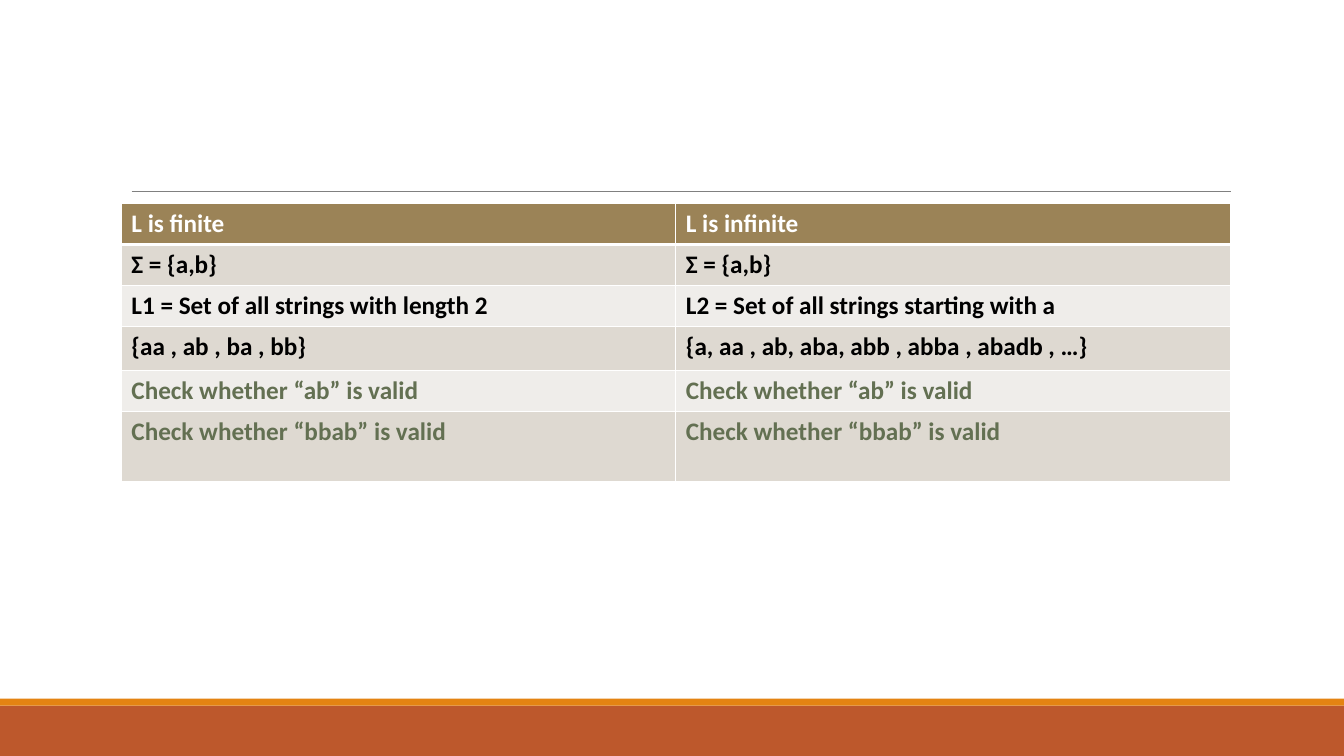
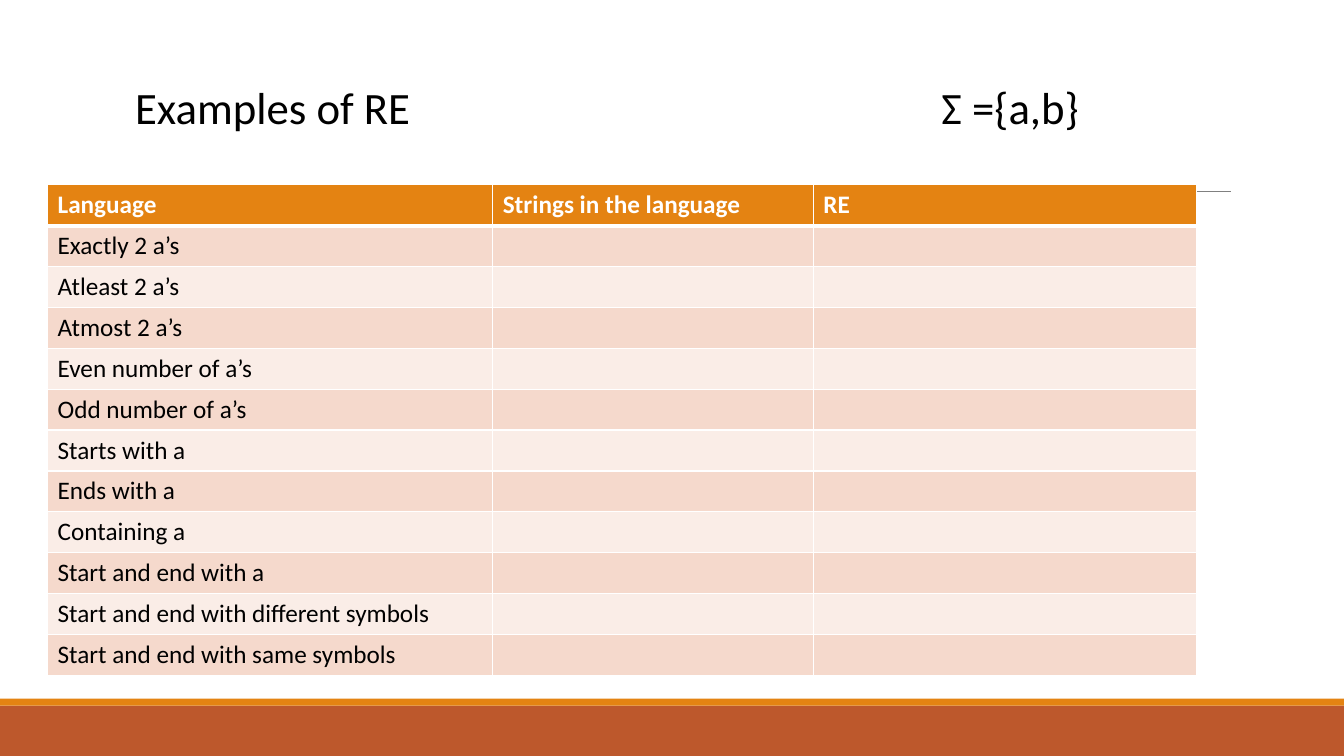
from lxml import etree
from pptx import Presentation
from pptx.dml.color import RGBColor
from pptx.enum import shapes, text
from pptx.oxml import parse_xml
from pptx.oxml.ns import nsdecls, qn
from pptx.util import Pt

COLORS = {
    "white": "FFFFFF", "black": "000000", "rule": "808080",
    "rust": "BD582C", "orange": "E48312", "green": "637052",
    "tan": "9B8357", "tan_dark": "DED9D1", "tan_light": "EFEDEA",
    "peach_dark": "F5D9CC", "peach_light": "FAEDE7",
}
FONT = "Calibri"
ROW_H = 29.2


def rgb(name):
    return RGBColor.from_string(COLORS[name])


def add_text(tf, content, size=18, color="black", bold=False, spacing=None, tab=None):
    p = tf.paragraphs[0]
    p.alignment = text.PP_ALIGN.LEFT
    if spacing:
        p.line_spacing = spacing
    if tab:
        tabs = etree.SubElement(p._p.get_or_add_pPr(), qn("a:tabLst"))
        etree.SubElement(tabs, qn("a:tab"), pos=str(Pt(tab)), algn="l")
    r = p.add_run()
    r.text = content
    r.font.name, r.font.size, r.font.bold = FONT, Pt(size), bold
    r.font.color.rgb = rgb(color)


prs = Presentation()
prs.slide_width, prs.slide_height = Pt(960), Pt(540)
finite = prs.slides.add_slide(prs.slide_layouts[6])
examples = prs.slides.add_slide(prs.slide_layouts[5])

# Shared bands and rule, drawn once and moved to the master
decor = []
for top, height, color in [(504, 36, "rust"), (499, 5, "orange")]:
    sp = finite.shapes.add_shape(shapes.MSO_SHAPE.RECTANGLE, 0, Pt(top), Pt(960), Pt(height))
    sp.shadow.inherit = False
    sp.fill.solid()
    sp.fill.fore_color.rgb = rgb(color)
    sp.line.fill.background()
    decor.append(sp)
rule = finite.shapes.add_connector(shapes.MSO_CONNECTOR.STRAIGHT, Pt(94), Pt(136.5), Pt(879), Pt(136.5))
rule.line.color.rgb = rgb("rule")
rule.line.width = Pt(0.5)
etree.SubElement(rule.element.spPr, qn("a:effectLst"))
decor.append(rule)
for number, sp in enumerate(decor, start=101):
    sp.element.xpath(".//p:cNvPr")[0].set("id", str(number))
    prs.slide_master.shapes.element.append(sp.element)

# Title with the alphabet at a tab stop
title = examples.shapes.title
title.left, title.top, title.width, title.height = Pt(89.3), Pt(16.5), Pt(749.5), Pt(83)
title.text_frame.vertical_anchor = text.MSO_ANCHOR.BOTTOM
title.text_frame.auto_size = text.MSO_AUTO_SIZE.NONE
add_text(title.text_frame, "Examples of RE\tΣ ={a,b}", size=32, spacing=0.9, tab=576)

# Table contents
finite_rows = [
    ["L is finite", "L is infinite"],
    ["Σ = {a,b}", "Σ = {a,b}"],
    ["L1 = Set of all strings with length 2", "L2 = Set of all strings starting with a"],
    ["{aa , ab , ba , bb}", "{a, aa , ab, aba, abb , abba , abadb , …}"],
    ["Check whether “ab” is valid"] * 2,
    ["Check whether “bbab” is valid"] * 2,
]
languages = [
    "Exactly 2 a’s", "Atleast 2 a’s", "Atmost 2 a’s", "Even number of a’s",
    "Odd number of a’s", "Starts with a", "Ends with a", "Containing a",
    "Start and end with a", "Start and end with different symbols",
    "Start and end with same symbols",
]
example_rows = [["Language", "Strings in the language", "RE"]]
example_rows += [[language, "", ""] for language in languages]

# Slide, left, top, column widths, special row heights, rows, fills, bold body
tables = [
    (finite, 86.7, 145.5, [396, 396], {3: 31.5, 5: 50.5}, finite_rows,
     ("tan", "tan_dark", "tan_light"), True),
    (examples, 34, 132, [318, 229, 273.5], {}, example_rows,
     ("orange", "peach_dark", "peach_light"), False),
]

# Tables: header, banded rows, white borders with a thick line under the header
for s, left, top, widths, tall, rows, (head, dark, light), bold in tables:
    heights = [tall.get(i, ROW_H) for i in range(len(rows))]
    table = s.shapes.add_table(len(rows), len(widths), Pt(left), Pt(top),
                               Pt(sum(widths)), Pt(sum(heights))).table
    for column, width in zip(table.columns, widths):
        column.width = Pt(width)
    for i, row in enumerate(rows):
        table.rows[i].height = Pt(heights[i])
        for j, content in enumerate(row):
            cell = table.cell(i, j)
            cell.fill.solid()
            cell.fill.fore_color.rgb = rgb(head if i == 0 else dark if i % 2 else light)
            thick = {0: "B", 1: "T"}.get(i)
            for n, side in enumerate("LRTB"):
                cell._tc.tcPr.insert(n, parse_xml(
                    f'<a:ln{side} {nsdecls("a")} w="{Pt(3 if side == thick else 1)}">'
                    f'<a:solidFill><a:srgbClr val="{COLORS["white"]}"/></a:solidFill></a:ln{side}>'))
            if content:
                color = "white" if i == 0 else "green" if content.startswith("Check") else "black"
                add_text(cell.text_frame, content, color=color, bold=bold or i == 0)

prs.save("out.pptx")
